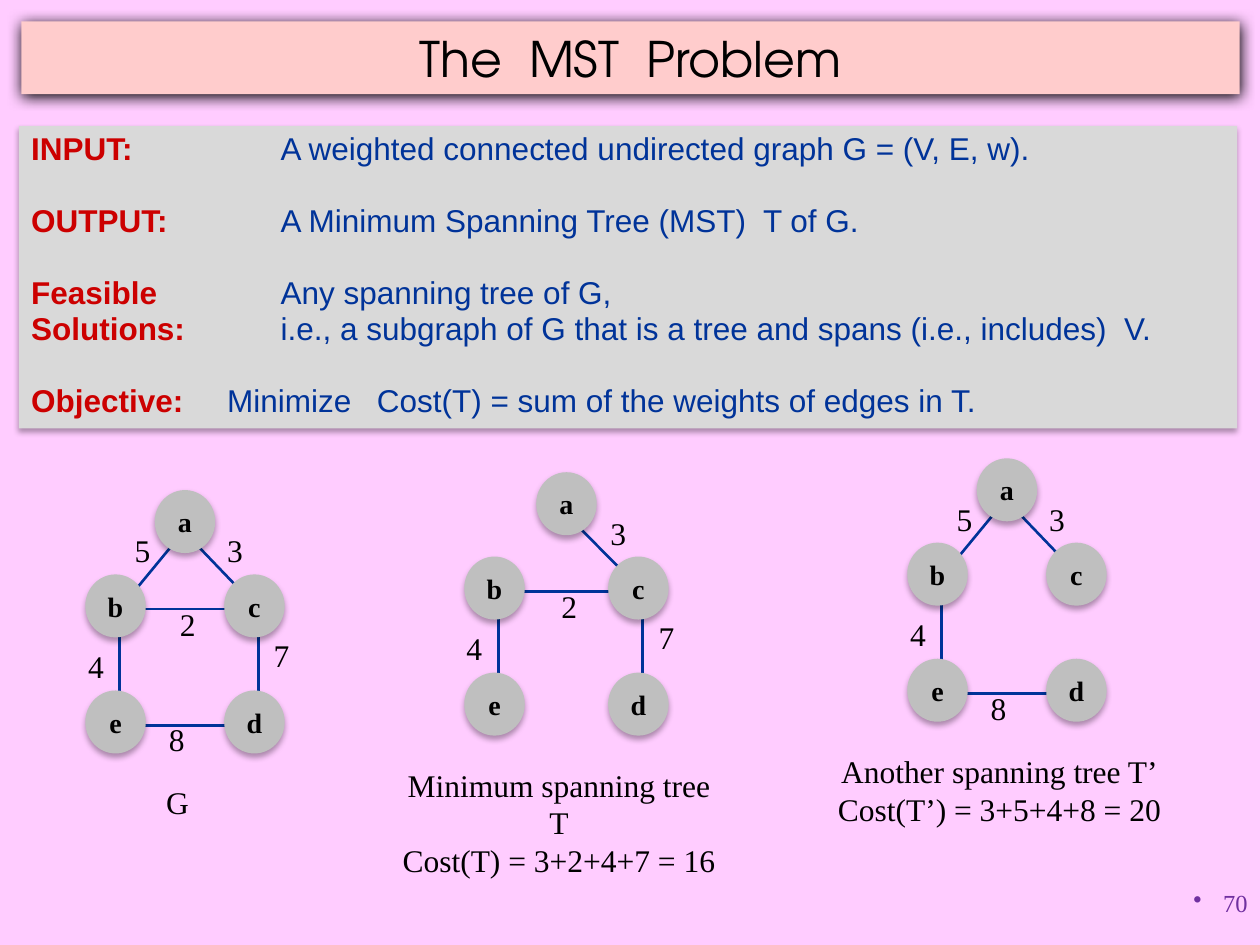
from lxml import etree
from pptx import Presentation
from pptx.dml.color import RGBColor
from pptx.enum.shapes import MSO_CONNECTOR, MSO_SHAPE
from pptx.enum.text import MSO_ANCHOR, PP_ALIGN
from pptx.oxml.ns import qn
from pptx.util import Cm, Pt

RECT, OVAL = MSO_SHAPE.RECTANGLE, MSO_SHAPE.OVAL
LINE = MSO_CONNECTOR.STRAIGHT
LEFT, MID, RIGHT = PP_ALIGN.LEFT, PP_ALIGN.CENTER, PP_ALIGN.RIGHT
TOP, CENTRE = MSO_ANCHOR.TOP, MSO_ANCHOR.MIDDLE

PINK = RGBColor(0xFF, 0xCC, 0xFF)
PEACH = RGBColor(0xFF, 0xCC, 0xCC)
PALE = RGBColor(0xD9, 0xD9, 0xD9)
GREY = RGBColor(0xBF, 0xBF, 0xBF)
RED = RGBColor(0xCC, 0x00, 0x00)
BLUE = RGBColor(0x00, 0x33, 0x99)
BLACK = RGBColor(0x00, 0x00, 0x00)
PURPLE = RGBColor(0x70, 0x30, 0xA0)

SANS, SERIF, GOTHIC = "Arial", "Times New Roman", "TeX Gyre Adventor"

# Node places: (side, drop below node a)
NODES = {"a": (0, 0), "b": (-1, 1.7), "e": (-1, 4.04),
         "d": (1, 4.04), "c": (1, 1.7)}
# Edge: (weight, side and drop of its label)
EDGES = {"ba": (5, -0.61, 0.58), "ca": (3, 0.72, 0.58),
         "cb": (2, 0.04, 2.06), "ed": (8, -0.12, 4.39),
         "be": (4, -1.28, 2.9), "dc": (7, 1.39, 2.69)}
# Graph: centre of node a, half width, edges, caption
GRAPHS = [
    (3.73, 10.52, 1.4, ["ba", "be", "ed", "dc", "cb", "ca"], "G"),
    (11.42, 10.16, 1.45, ["be", "dc", "cb", "ca"],
     "Minimum spanning tree T\nCost(T) = 3+2+4+7 = 16"),
    (20.3, 9.88, 1.4, ["ba", "be", "ed", "ca"],
     "Another spanning tree T’\nCost(T’) = 3+5+4+8 = 20"),
]
# Panel row: label, text, gap above in points, tab stops
ROWS = [
    ("INPUT:", "A weighted connected undirected graph G = (V, E, w).", 0, [5.03]),
    ("OUTPUT:", "A Minimum Spanning Tree (MST)  T of G.", 20.6, [5.03]),
    ("Feasible", "Any spanning tree of G,", 20.6, [5.03]),
    ("Solutions:", "i.e., a subgraph of G that is a tree and spans "
     "(i.e., includes)  V.", 0, [5.03]),
    ("Objective:", "Minimize\tCost(T) = sum of the weights of edges in T.",
     20.6, [3.95, 6.97]),
]


class Deck:
    def __init__(self):
        self.prs = Presentation()
        self.prs.slide_width, self.prs.slide_height = Cm(25.4), Cm(19.05)
        self.slide = self.prs.slides.add_slide(self.prs.slide_layouts[6])
        self.slide.background.fill.solid()
        self.slide.background.fill.fore_color.rgb = PINK
        self.shapes = self.slide.shapes

    def group(self):
        self.shapes = self.slide.shapes.add_group_shape().shapes

    def style(self, para, size, font, color=BLACK, bold=False, align=MID):
        para.alignment = align
        para.font.size, para.font.name = Pt(size), font
        para.font.bold, para.font.color.rgb = bold, color

    def shade(self, shape, blur, dist, alpha):
        fx = etree.SubElement(shape.fill._xPr, qn("a:effectLst"))
        out = etree.SubElement(fx, qn("a:outerShdw"), blurRad=str(Pt(blur)),
                               dist=str(Pt(dist)), dir="5400000", rotWithShape="0")
        tint = etree.SubElement(out, qn("a:srgbClr"), val="000000")
        etree.SubElement(tint, qn("a:alpha"), val=str(alpha * 1000))

    def block(self, kind, x, y, w, h, fill, shade=(3.5, 2.2, 32), anchor=CENTRE):
        shape = self.shapes.add_shape(kind, Cm(x), Cm(y), Cm(w), Cm(h))
        shape.fill.solid()
        shape.fill.fore_color.rgb = fill
        shape.line.fill.background()
        self.shade(shape, *shade)
        shape.text_frame.vertical_anchor = anchor
        return shape.text_frame

    def text(self, words, x, y, w, h):
        frame = self.shapes.add_textbox(Cm(x), Cm(y), Cm(w), Cm(h)).text_frame
        frame.word_wrap = False
        para = frame.paragraphs[0]
        para.text = words
        self.style(para, 18, SERIF)

    def edge(self, start, end):
        ends = [Cm(v) for v in (*start, *end)]
        line = self.shapes.add_connector(LINE, *ends)
        line.line.color.rgb, line.line.width = BLUE, Pt(1.5)
        etree.SubElement(line.line._ln.getparent(), qn("a:effectLst"))

    def node(self, name, x, y):
        frame = self.block(OVAL, x - 0.61, y - 0.64, 1.22, 1.27, GREY)
        frame.word_wrap = False
        frame.paragraphs[0].text = name
        self.style(frame.paragraphs[0], 16, SERIF, bold=True)

    def graph(self, x, y, half, edges, title):
        self.group()
        spots = {n: (x + s * half, y + d) for n, (s, d) in NODES.items()}
        for pair in edges:
            start, end = [(spots[n][0] + 0.08, spots[n][1] + 0.06) for n in pair]
            if pair == "ca":
                end = (x - 0.15, end[1])
            self.edge(start, end)
        for name, spot in spots.items():
            self.node(name, *spot)
        for pair in edges:
            weight, side, drop = EDGES[pair]
            self.text(str(weight), x + side * half - 0.42, y + drop - 0.51, 0.84, 1.02)
        wide, high = (7.1, 1.78) if "\n" in title else (0.97, 1.02)
        self.text(title, x - 0.15 - wide / 2, y + 5.15, wide, high)

    def title(self, words):
        frame = self.block(RECT, 0.43, 0.43, 24.56, 1.47, PEACH, (8.5, 1, 100))
        frame.paragraphs[0].text = words
        self.style(frame.paragraphs[0], 28, GOTHIC)

    def panel(self, rows):
        frame = self.block(RECT, 0.38, 2.54, 24.56, 6.1, PALE, anchor=TOP)
        frame.word_wrap = True
        for i, (label, words, gap, stops) in enumerate(rows):
            para = frame.add_paragraph() if i else frame.paragraphs[0]
            tabs = etree.SubElement(para._p.get_or_add_pPr(), qn("a:tabLst"))
            for stop in stops:
                etree.SubElement(tabs, qn("a:tab"), pos=str(Cm(stop)), algn="l")
            para.line_spacing = 0.95
            if gap:
                para.space_before = Pt(gap)
            self.style(para, 18, SANS, BLUE, align=LEFT)
            head = para.add_run()
            head.text, head.font.bold, head.font.color.rgb = label, True, RED
            para.add_run().text = "\t" + words

    def number(self, words):
        self.shapes = self.slide.shapes
        box = self.shapes.add_textbox(Cm(20.12), Cm(17.78), Cm(5.28), Cm(1.27))
        box.text_frame.word_wrap = True
        para = box.text_frame.paragraphs[0]
        para.text = words
        props = para._p.get_or_add_pPr()
        props.set("marL", str(Cm(0.6)))
        props.set("indent", str(Cm(-0.6)))
        etree.SubElement(props, qn("a:buChar"), char="•")
        self.style(para, 14, SERIF, PURPLE, align=RIGHT)


def main():
    deck = Deck()
    # Heading and definition
    deck.title("The  MST  Problem")
    deck.panel(ROWS)
    # The graph and two of its spanning trees
    for graph in GRAPHS:
        deck.graph(*graph)
    # Page number
    deck.number("70")
    deck.prs.save("out.pptx")


if __name__ == "__main__":
    main()
